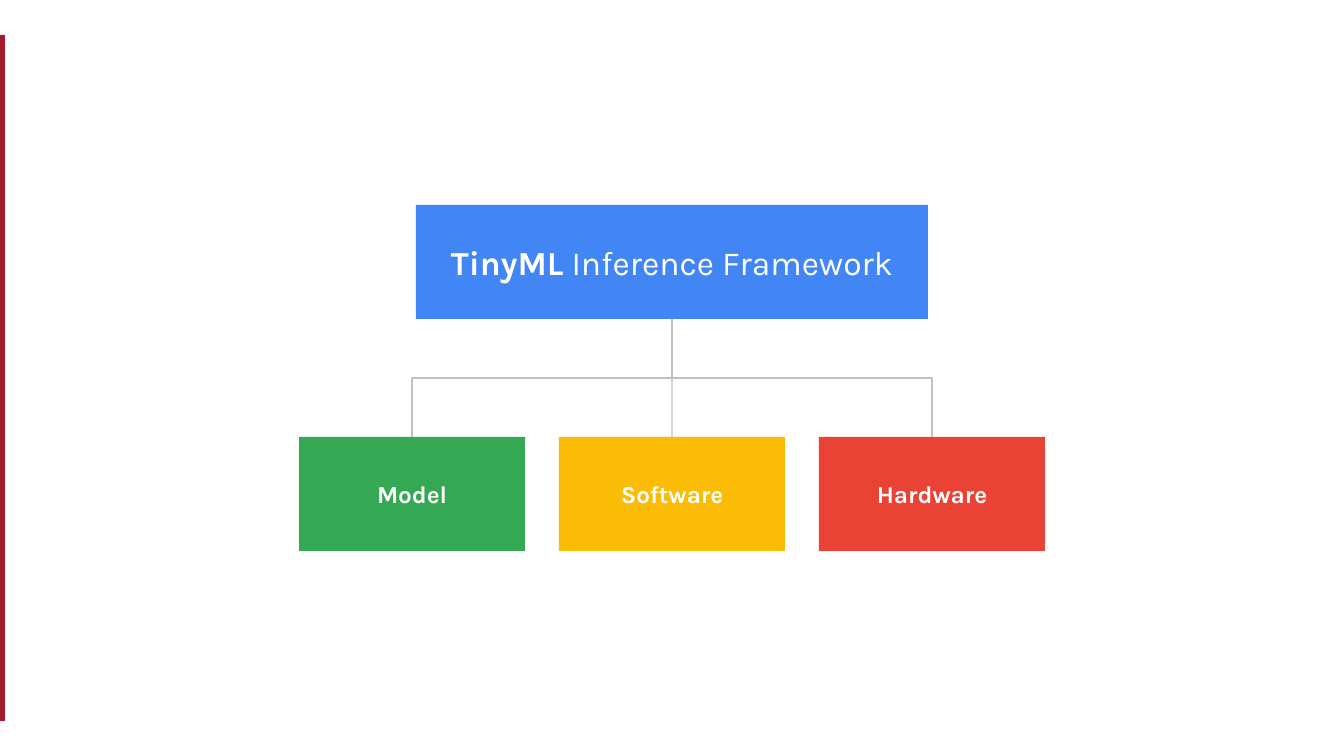
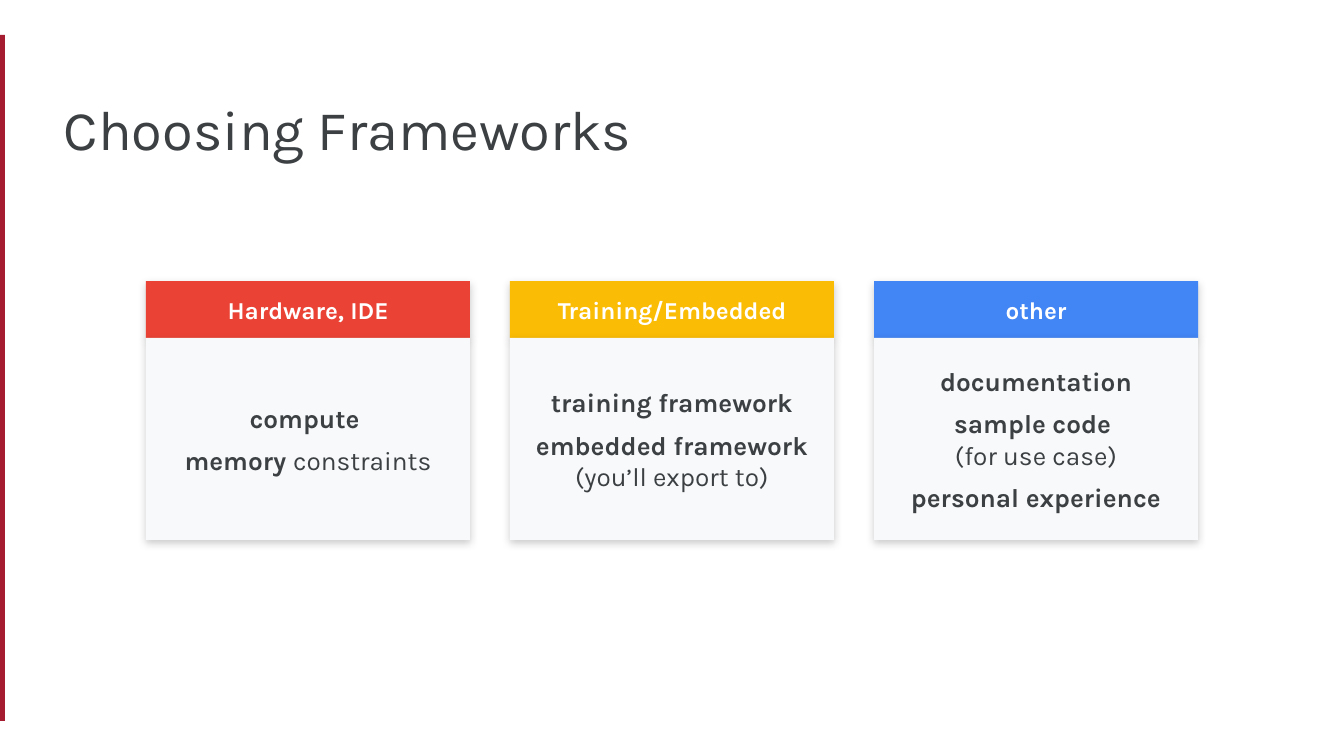
import lxml.etree
import pptx
import pptx.dml.color
import pptx.enum.shapes
import pptx.enum.text
import pptx.oxml.ns
import pptx.util

SLIDE_WIDTH, SLIDE_HEIGHT = 1344, 756
SCALE = 9144000 / SLIDE_WIDTH
CENTER = SLIDE_WIDTH // 2
INSET = 13

FONT = "Karla"
CRIMSON, GREY_TEXT, GREY_LINE = "A51C30", "3C4043", "BDC1C6"
WHITE, PANEL = "FFFFFF", "F8F9FA"
RED, YELLOW, GREEN, BLUE = "EA4335", "FBBC05", "34A853", "4285F4"

SHAPE = pptx.enum.shapes.MSO_SHAPE
CONNECTOR = pptx.enum.shapes.MSO_CONNECTOR
ALIGN = pptx.enum.text.PP_ALIGN
ANCHOR = pptx.enum.text.MSO_ANCHOR


def px(*lengths):
    return [pptx.util.Emu(round(length * SCALE)) for length in lengths]


def color(hex_code):
    return pptx.dml.color.RGBColor.from_string(hex_code)


def add_child(parent, tag, **attributes):
    child = lxml.etree.SubElement(parent, pptx.oxml.ns.qn(tag))
    for name, value in attributes.items():
        child.set(name, str(value))
    return child


def write_text(shape, paragraphs, size, hex_code, alignment, anchor, gap=0):
    frame = shape.text_frame
    frame.word_wrap = True
    frame.vertical_anchor = anchor
    frame.margin_left, frame.margin_top, frame.margin_right, frame.margin_bottom = px(*[INSET] * 4)
    for index, runs in enumerate(paragraphs):
        paragraph = frame.add_paragraph() if index else frame.paragraphs[0]
        paragraph.alignment = alignment
        if index:
            paragraph.space_before = pptx.util.Pt(gap)
        for text, bold in runs:
            if text == "\n":
                paragraph.add_line_break()
                continue
            run = paragraph.add_run()
            run.text = text
            run.font.name = FONT
            run.font.size = pptx.util.Pt(size)
            run.font.bold = bold
            run.font.color.rgb = color(hex_code)


def add_block(slide, kind, box, fill):
    shape = slide.shapes.add_shape(kind, *px(*box))
    if kind == SHAPE.ROUNDED_RECTANGLE:
        shape.adjustments[0] = 0
    shape.shadow.inherit = False
    shape.fill.solid()
    shape.fill.fore_color.rgb = color(fill)
    shape.line.fill.background()
    return shape


def add_label_box(slide, box, fill, runs, size=13):
    shape = add_block(slide, SHAPE.ROUNDED_RECTANGLE, box, fill)
    write_text(shape, [runs], size, WHITE, ALIGN.CENTER, ANCHOR.MIDDLE)
    return shape


def add_soft_shadow(shape):
    effects = shape._element.spPr.find(pptx.oxml.ns.qn("a:effectLst"))
    shadow = add_child(effects, "a:outerShdw", blurRad=pptx.util.Pt(4.5), dist=pptx.util.Pt(1.5),
                       dir=5400000, algn="bl", rotWithShape=0)
    add_child(add_child(shadow, "a:srgbClr", val="000000"), "a:alpha", val=20000)


def add_line(slide, kind, *ends):
    connector = slide.shapes.add_connector(kind, *px(*ends))
    connector.line.color.rgb = color(GREY_LINE)
    connector.line.width = pptx.util.Pt(0.75)
    add_child(connector._element.spPr, "a:effectLst")
    return connector


def add_branch(slide, start_x, start_y, end_x, end_y):
    middle_x, middle_y = (start_x + end_x) / 2, (start_y + end_y) / 2
    half_drop, half_run = (end_y - start_y) / 2, abs(end_x - start_x) / 2
    side = 1 if end_x < start_x else -1
    connector = add_line(slide, CONNECTOR.ELBOW,
                         middle_x - side * half_drop, middle_y - half_run,
                         middle_x + side * half_drop, middle_y + half_run)
    connector._element.spPr.xfrm.set("rot", str(90 * 60000 if side == 1 else 270 * 60000))


def add_card(slide, left, heading, fill, paragraphs):
    top, width, heading_height, body_height = 281, 324, 57, 202
    header = add_label_box(slide, (left, top, width, heading_height), fill, [(heading, True)])
    body = add_block(slide, SHAPE.RECTANGLE,
                     (left, top + heading_height, width, body_height), PANEL)
    write_text(body, paragraphs, 14, GREY_TEXT, ALIGN.CENTER, ANCHOR.MIDDLE, gap=6)
    add_soft_shadow(header)
    add_soft_shadow(body)


def add_title(slide, text):
    title = slide.shapes.add_textbox(*px(51, 89, 1146, 79))
    write_text(title, [[(text, False)]], 30, GREY_TEXT, ALIGN.LEFT, ANCHOR.TOP)
    title.text_frame.paragraphs[0].line_spacing = 0.9


def new_slide(presentation):
    slide = presentation.slides.add_slide(presentation.slide_layouts[6])
    add_block(slide, SHAPE.RECTANGLE, (-3, 35, 8, 686), CRIMSON)
    return slide


def build_framework_tree(presentation):
    slide = new_slide(presentation)
    height, root_top, root_width = 114, 205, 512
    part_top, part_width, pitch = 437, 226, 260
    root_bottom = root_top + height
    parts = [("Model", GREEN), ("Software", YELLOW), ("Hardware", RED)]
    root = add_label_box(slide, (CENTER - root_width // 2, root_top, root_width, height), BLUE,
                         [("TinyML", True), (" Inference Framework", False)], 18)
    for index, (name, fill) in enumerate(parts):
        middle = CENTER + (index - 1) * pitch
        part = add_label_box(slide, (middle - part_width // 2, part_top, part_width, height),
                             fill, [(name, True)])
        if middle == CENTER:
            trunk = add_line(slide, CONNECTOR.STRAIGHT, middle, part_top, middle, root_bottom)
            trunk.begin_connect(part, 0)
            trunk.end_connect(root, 2)
        else:
            add_branch(slide, CENTER, root_bottom, middle, part_top)


def build_choosing_frameworks(presentation):
    slide = new_slide(presentation)
    add_title(slide, "Choosing Frameworks")
    cards = [
        ("Hardware, IDE", RED, [
            [("compute ", True)],
            [("memory ", True), ("constraints", False)],
        ]),
        ("Training/Embedded", YELLOW, [
            [("training framework", True)],
            [("embedded framework ", True), ("(you’ll export to)", False)],
        ]),
        ("other", BLUE, [
            [("documentation", True)],
            [("sample code ", True), ("\n", False), ("(for use case)", False)],
            [("personal experience", True)],
        ]),
    ]
    for index, (heading, fill, paragraphs) in enumerate(cards):
        add_card(slide, 146 + index * 364, heading, fill, paragraphs)


def main():
    presentation = pptx.Presentation()
    presentation.slide_width, presentation.slide_height = px(SLIDE_WIDTH, SLIDE_HEIGHT)
    build_framework_tree(presentation)
    build_choosing_frameworks(presentation)
    presentation.save("out.pptx")


if __name__ == "__main__":
    main()
